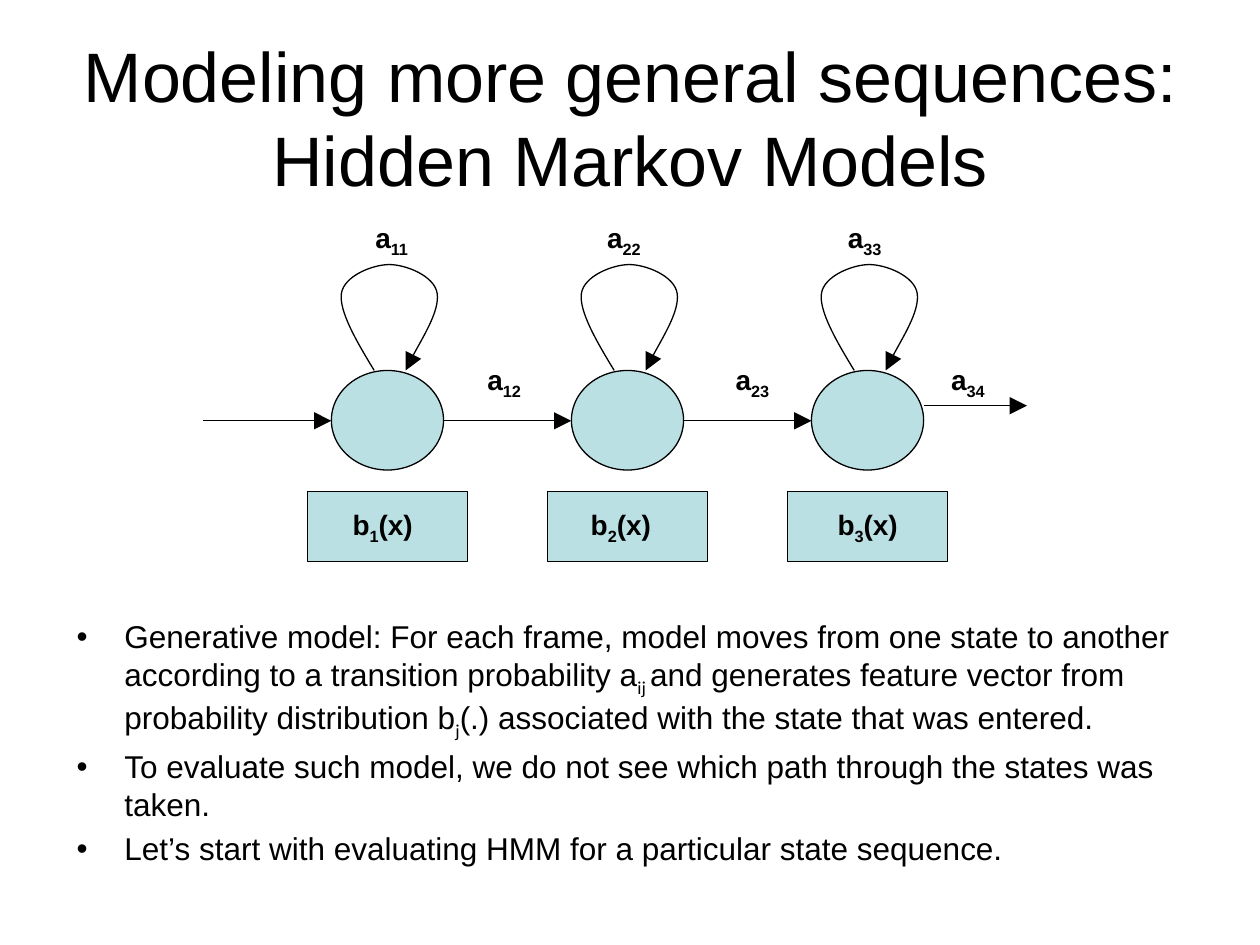
from lxml.etree import SubElement
from pptx import Presentation
from pptx.dml.color import RGBColor
from pptx.enum.shapes import MSO_CONNECTOR, MSO_SHAPE
from pptx.enum.text import MSO_ANCHOR, PP_ALIGN
from pptx.oxml.ns import qn
from pptx.util import Inches, Pt

BLACK = RGBColor(0x00, 0x00, 0x00)
PALE_TEAL = RGBColor(0xBB, 0xE0, 0xE3)

FIRST_STATE, LAST_STATE = 2.63, 6.44
STATE_PITCH = (LAST_STATE - FIRST_STATE) / 2
STATE_TOP, STATE_WIDTH, STATE_HEIGHT = 2.94, 0.89, 0.79
CHAIN_Y, EXIT_Y = 3.34, 3.22
LOOP_START = (0.34, 2.94)
LOOP_CURVES = [
    (0.2, 2.71), (0.06, 2.47), (0.08, 2.33),
    (0.1, 2.19), (0.33, 2.1), (0.46, 2.1),
    (0.59, 2.1), (0.82, 2.19), (0.84, 2.33),
    (0.86, 2.47), (0.63, 2.84), (0.59, 2.94),
]

TRANSITIONS = [
    ("a|11", 2.88, 1.7), ("a|22", 4.72, 1.7), ("a|33", 6.63, 1.7),
    ("a|12", 3.77, 2.83), ("a|23", 5.74, 2.83), ("a|34", 7.45, 2.83),
]
EMISSIONS = [("b|1|(x)", 2.7), ("b|2|(x)", 4.59), ("b|3|(x)", 6.55)]
POINTS = [
    "Generative model: For each frame, model moves from one state to another "
    "according to a transition probability a|ij |and generates feature vector "
    "from probability distribution b|j|(.) associated with the state that was entered.",
    "To evaluate such model, we do not see which path through the states was taken.",
    "Let’s start with evaluating HMM for a particular state sequence.",
]


def write(paragraph, marked_text, size, bold=False, subscript_font="Arial"):
    """Write text in which every second part between bars is a subscript."""
    for index, part in enumerate(marked_text.split("|")):
        run = paragraph.add_run()
        run.text = part
        lowered = index % 2 == 1
        style = {"size": Pt(size), "bold": bold,
                 "name": subscript_font if lowered else "Arial"}
        for attribute, value in style.items():
            setattr(run.font, attribute, value)
        run.font.color.rgb = BLACK
        if lowered:
            run.font._element.set("baseline", "-25000")


def add_text_frame(shapes, left, top, width, height, wrap=True):
    """Add a text box and return its frame."""
    frame = shapes.add_textbox(
        Inches(left), Inches(top), Inches(width), Inches(height)).text_frame
    frame.word_wrap = wrap
    return frame


def outline(shape):
    """Give a shape or connector a thin black line."""
    shape.line.color.rgb = BLACK
    shape.line.width = Pt(0.75)


def point_end(shape):
    """Put a large triangle at the end of a line."""
    SubElement(shape.line._get_or_add_ln(), qn("a:tailEnd"),
               type="triangle", w="lg", len="lg")


def add_node(shapes, kind, left, top, width, height):
    """Add a filled preset shape."""
    node = shapes.add_shape(
        kind, Inches(left), Inches(top), Inches(width), Inches(height))
    node.shadow.inherit = False
    node.fill.solid()
    node.fill.fore_color.rgb = PALE_TEAL
    outline(node)


def add_arrow(shapes, start, end, y):
    """Add a horizontal arrow."""
    arrow = shapes.add_connector(
        MSO_CONNECTOR.STRAIGHT, Inches(start), Inches(y), Inches(end), Inches(y))
    outline(arrow)
    point_end(arrow)
    SubElement(arrow._element.spPr, qn("a:effectLst"))


def bend(freeform):
    """Turn each three line segments of a freeform into one cubic curve."""
    segments = list(freeform._element.iter(qn("a:lnTo")))
    for first in range(0, len(segments), 3):
        trio = segments[first:first + 3]
        curve = SubElement(trio[0].getparent(), qn("a:cubicBezTo"))
        for segment in trio:
            curve.append(segment[0])
            segment.getparent().remove(segment)


def add_self_loop(shapes, state_left):
    """Add the curved arrow from a state back to itself."""
    builder = shapes.build_freeform(
        Inches(state_left + LOOP_START[0]), Inches(LOOP_START[1]))
    builder.add_line_segments(
        [(Inches(state_left + x), Inches(y)) for x, y in LOOP_CURVES], close=False)
    loop = builder.convert_to_shape()
    bend(loop)
    loop.shadow.inherit = False
    loop.fill.background()
    outline(loop)
    point_end(loop)


def add_label(shapes, text, left, top, width):
    """Add a bold symbol with its subscript."""
    frame = add_text_frame(shapes, left, top, width, 0.37, wrap=False)
    write(frame.paragraphs[0], text, 16, bold=True)


def add_title(shapes):
    """Add the centred title."""
    frame = add_text_frame(shapes, 0.5, 0.3, 9, 1.25)
    frame.vertical_anchor = MSO_ANCHOR.MIDDLE
    heading = frame.paragraphs[0]
    heading.alignment = PP_ALIGN.CENTER
    write(heading, "Modeling more general sequences: Hidden Markov Models", 40)


def add_points(shapes):
    """Add the bulleted explanation."""
    frame = add_text_frame(shapes, 0.51, 4.85, 9, 2.05)
    for index, point in enumerate(POINTS):
        paragraph = frame.add_paragraph() if index else frame.paragraphs[0]
        properties = paragraph._p.get_or_add_pPr()
        properties.set("marL", str(Inches(0.38)))
        properties.set("indent", str(Inches(-0.38)))
        SubElement(properties, qn("a:buFont"), typeface="Arial")
        SubElement(properties, qn("a:buChar"), char="•")
        if index:
            paragraph.space_before = Pt(3.6)
        write(paragraph, point, 18, subscript_font="Calibri")


def add_chain(shapes):
    """Add the three-state model with its arrows and labels."""
    arrow_start = 1.61
    for index, (emission, emission_left) in enumerate(EMISSIONS):
        state_left = FIRST_STATE + index * STATE_PITCH
        add_node(shapes, MSO_SHAPE.OVAL, state_left, STATE_TOP, STATE_WIDTH, STATE_HEIGHT)
        add_self_loop(shapes, state_left)
        add_arrow(shapes, arrow_start, state_left, CHAIN_Y)
        add_node(shapes, MSO_SHAPE.RECTANGLE, state_left - 0.19, 3.9, 1.27, 0.56)
        add_label(shapes, emission, emission_left, 3.98, 0.7)
        arrow_start = state_left + STATE_WIDTH
    add_arrow(shapes, arrow_start, 8.15, EXIT_Y)
    for transition, left, top in TRANSITIONS:
        add_label(shapes, transition, left, top, 0.51)


def main():
    """Build and save the slide."""
    presentation = Presentation()
    presentation.slide_width = Inches(10)
    presentation.slide_height = Inches(7.5)
    slide = presentation.slides.add_slide(presentation.slide_layouts[6])
    add_title(slide.shapes)
    add_chain(slide.shapes.add_group_shape().shapes)
    add_points(slide.shapes)
    presentation.save("out.pptx")


if __name__ == "__main__":
    main()
